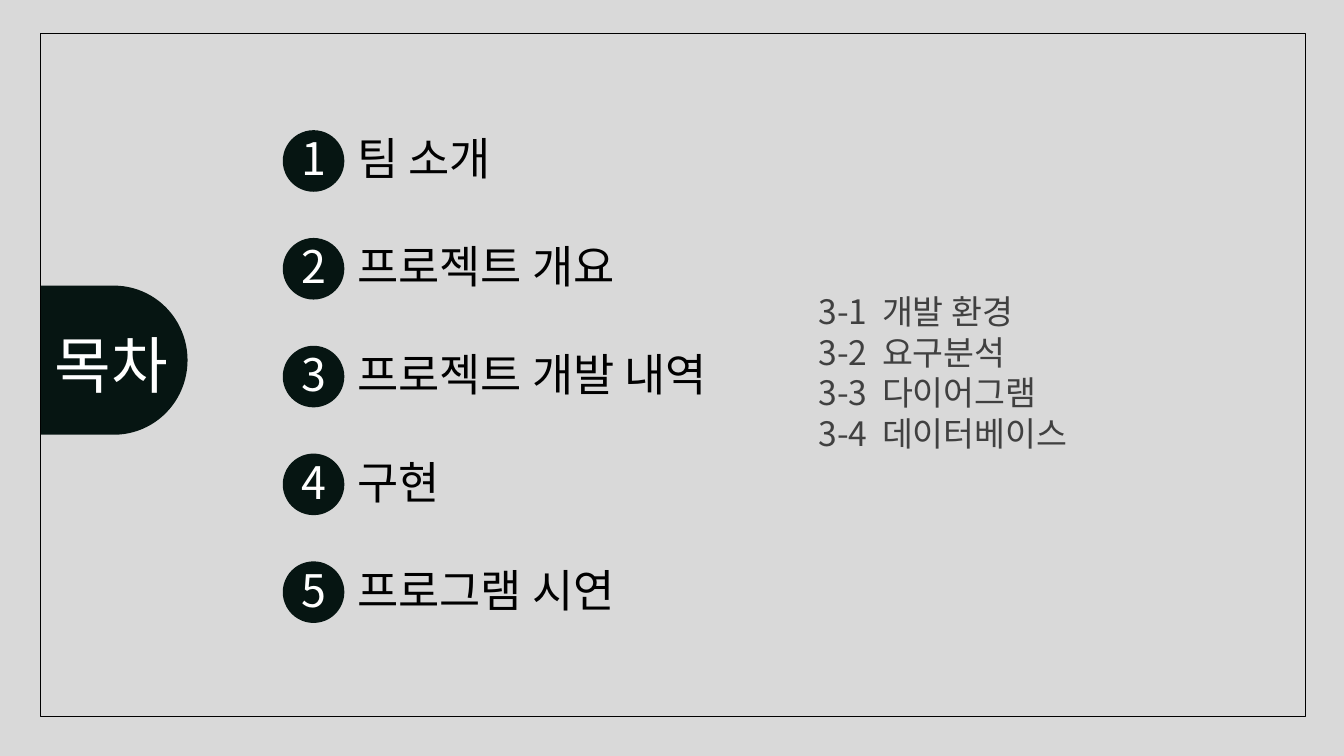
from pptx import Presentation
from pptx import util as u
from pptx.dml.color import RGBColor
from pptx.enum import shapes, text

COLORS = {"background": "D9D9D9", "dark": "061512", "black": "000000",
          "white": "FFFFFF", "grey": "404040"}
FONT = "Noto Sans CJK KR"
SECTIONS = ["팀 소개", "프로젝트 개요", "프로젝트 개발 내역", "구현", "프로그램 시연"]
SUBSECTIONS = ["개발 환경", "요구분석", "다이어그램", "데이터베이스"]
PITCH = 77  # distance between two section rows

deck = Presentation()
deck.slide_width, deck.slide_height = u.Pt(960), u.Pt(540)
page = deck.slides.add_slide(deck.slide_layouts[5])
page.background.fill.solid()
page.background.fill.fore_color.rgb = RGBColor.from_string(COLORS["background"])


def add_block(kind, left, top, width, height, fill=None):
    """Add a shape that is either filled without a line or only outlined."""
    block = page.shapes.add_shape(kind, u.Pt(left), u.Pt(top), u.Pt(width), u.Pt(height))
    block.shadow.inherit = False
    if fill:
        block.fill.solid()
        block.fill.fore_color.rgb = RGBColor.from_string(COLORS[fill])
        block.line.fill.background()
    else:
        block.fill.background()
        block.line.color.rgb = RGBColor.from_string(COLORS["black"])
        block.line.width = u.Pt(1)


def add_span(para, words, size, color):
    span = para.add_run()
    span.text = words
    span.font.name = FONT
    span.font.size = u.Pt(size)
    span.font.color.rgb = RGBColor.from_string(COLORS[color])


for row in range(len(SECTIONS)):
    add_block(shapes.MSO_SHAPE.OVAL, 202, 93 + row * PITCH, 44, 44, "dark")
add_block(shapes.MSO_SHAPE.FLOWCHART_DELAY, 29, 204, 105, 106.5, "dark")
add_block(shapes.MSO_SHAPE.RECTANGLE, 29, 24, 903.5, 488)

# Title, raised above the dark tab
title = page.shapes.title
title.left, title.top, title.width, title.height = u.Pt(32), u.Pt(230), u.Pt(105), u.Pt(60)
title.text_frame.vertical_anchor = text.MSO_ANCHOR.MIDDLE
title.text_frame.word_wrap = True
title_para = title.text_frame.paragraphs[0]
title_para.alignment = text.PP_ALIGN.LEFT
add_span(title_para, "목차", 44, "white")
page.shapes._spTree.append(title._element)

# Both lists: a number, then a tab to the hanging indent
lists = [
    (SECTIONS, "{}", (208, 90, 336, 356), 32, 38.5, PITCH - 38.5, 40, "white", "black"),
    (SUBSECTIONS, "3-{}", (577.5, 204, 275, 152), 24, 29, 0, 45.5, "grey", "grey"),
]
for entries, label, frame, size, line, gap, indent, label_color, color in lists:
    box = page.shapes.add_textbox(*[u.Pt(length) for length in frame])
    box.text_frame.word_wrap = True
    for number, entry in enumerate(entries, 1):
        para = box.text_frame.paragraphs[0] if number == 1 else box.text_frame.add_paragraph()
        para.line_spacing = u.Pt(line)
        para.space_after = u.Pt(gap)
        properties = para._p.get_or_add_pPr()
        properties.set("marL", str(u.Pt(indent)))
        properties.set("indent", str(-u.Pt(indent)))
        add_span(para, label.format(number) + "\t", size, label_color)
        add_span(para, entry, size, color)

deck.save("out.pptx")
